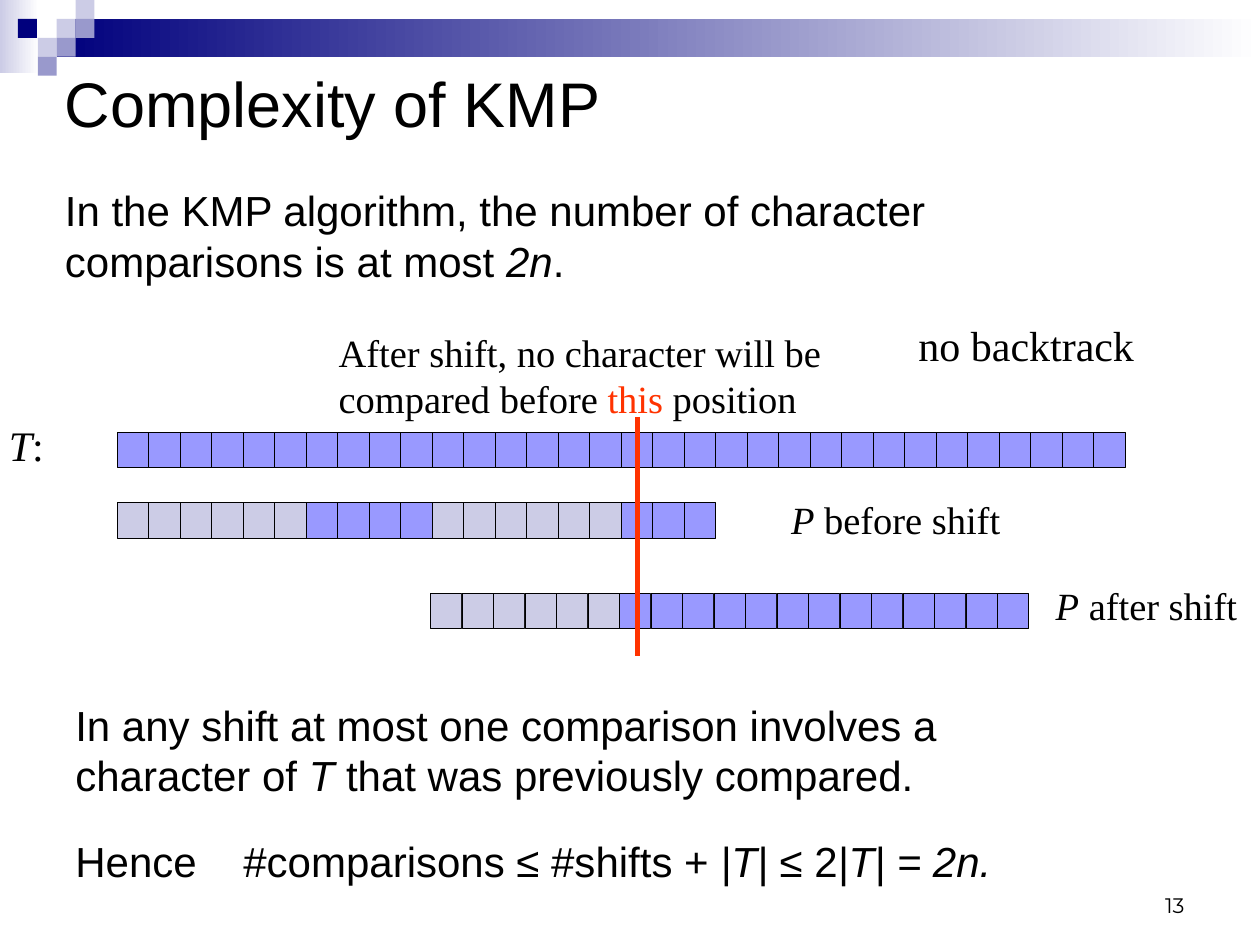
from dataclasses import dataclass
from lxml import etree
from pptx import Presentation
from pptx import util as u
from pptx.dml.color import RGBColor
from pptx.enum import shapes, text
from pptx.oxml import ns

HUES = {"ink": "000000", "white": "FFFFFF", "navy": "00007D", "slate": "9999CC",
        "pale": "CCCCE6", "blue": "9999FF", "red": "FF3300"}
SANS, SERIF = "Arial", "Times New Roman"
STEP, TALL, TILE = 18, 20.16, 10.8


@dataclass
class Box:
    x: float
    y: float
    w: float
    h: float


@dataclass
class Note:
    box: Box
    runs: list[tuple[str, str]]
    size: float
    font: str
    anchor: text.MSO_ANCHOR = text.MSO_ANCHOR.TOP
    align: text.PP_ALIGN = text.PP_ALIGN.LEFT
    tab: float = 0


@dataclass
class Strip:
    x: float
    y: float
    spans: list[tuple[str, int]]


def tint(name: str) -> RGBColor:
    """Return the named colour."""
    return RGBColor.from_string(HUES[name])


def draw_rect(slide, box: Box, hues: list[str], edge: bool = False) -> None:
    """Draw a rectangle, with a left-to-right gradient when given two colours."""
    rect = slide.shapes.add_shape(shapes.MSO_SHAPE.RECTANGLE, u.Pt(box.x), u.Pt(box.y),
                                  u.Pt(box.w), u.Pt(box.h))
    rect.shadow.inherit = False
    if len(hues) == 2:
        rect.fill.gradient()
        rect.fill.gradient_angle = 0
        for stop, hue in zip(rect.fill.gradient_stops, hues):
            stop.color.rgb = tint(hue)
    else:
        rect.fill.solid()
        rect.fill.fore_color.rgb = tint(hues[0])
    if edge:
        rect.line.color.rgb = tint("ink")
        rect.line.width = u.Pt(0.5)
    else:
        rect.line.fill.background()


def draw_strip(slide, strip: Strip) -> None:
    """Draw a row of touching cells, one span of colour after another."""
    cells = [hue for hue, count in strip.spans for _ in range(count)]
    for i, hue in enumerate(cells):
        draw_rect(slide, Box(strip.x + i * STEP, strip.y, STEP, TALL), [hue], True)


def draw_note(slide, note: Note) -> None:
    """Draw one paragraph whose runs are plain, italic or red."""
    box = note.box
    frame = slide.shapes.add_textbox(u.Pt(box.x), u.Pt(box.y), u.Pt(box.w),
                                     u.Pt(box.h)).text_frame
    frame.word_wrap = True
    frame.vertical_anchor = note.anchor
    para = frame.paragraphs[0]
    para.alignment = note.align
    if note.tab:
        tabs = etree.SubElement(para._p.get_or_add_pPr(), ns.qn("a:tabLst"))
        etree.SubElement(tabs, ns.qn("a:tab"), pos=str(u.Pt(note.tab)), algn="l")
    for words, style in note.runs:
        run = para.add_run()
        run.text = words
        run.font.name = note.font
        run.font.size = u.Pt(note.size)
        run.font.italic = style == "italic"
        run.font.color.rgb = tint("red" if style == "red" else "ink")


def draw_mark(slide, x: float, top: float, end: float) -> None:
    """Draw the red vertical line at the shift position."""
    mark = slide.shapes.add_connector(shapes.MSO_CONNECTOR.STRAIGHT, u.Pt(x), u.Pt(top),
                                      u.Pt(x), u.Pt(end))
    mark.line.color.rgb = tint("red")
    mark.line.width = u.Pt(2.5)
    etree.SubElement(mark._element.spPr, ns.qn("a:effectLst"))


BANDS = [(Box(0, 0, 22.3, 41.8), ["pale", "white"]),
         (Box(32.4, 10.8, 687.6, 21.6), ["navy", "white"])]
TILES = [(3, 1, "pale"), (4, 0, "pale"), (4, 1, "slate"), (2, 2, "pale"),
         (0.95, 1, "navy"), (3, 2, "slate"), (2, 3, "slate")]
STRIPS = [Strip(67, 287.3, [("pale", 6), ("blue", 4), ("pale", 6), ("blue", 3)]),
          Strip(67, 247, [("blue", 32)]),
          Strip(246, 339.1, [("pale", 6), ("blue", 13)])]
NOTES = [
    Note(Box(30, 30.2, 480, 56.2), [("Complexity of KMP", "")], 36, SANS,
         text.MSO_ANCHOR.MIDDLE),
    Note(Box(30, 102.2, 636, 64.8),
         [("In the KMP algorithm, the number of character comparisons is at most ", ""),
          ("2n", "italic"), (".", "")], 24, SANS),
    Note(Box(36, 473.8, 549.4, 36),
         [("Hence\t#comparisons ≤ #shifts + ", ""), ("|T| ", "italic"), ("≤ 2", ""),
          ("|T| = 2n.", "italic")], 24, SANS, tab=96),
    Note(Box(445, 280, 148.3, 33.8), [("P", "italic"), (" before shift", "")], 22, SERIF),
    Note(Box(596.2, 329, 161.3, 33.8), [("P", "italic"), (" after shift", "")], 22, SERIF),
    Note(Box(-2, 236.2, 37.4, 36), [("T", "italic"), (":", "")], 24, SERIF),
    Note(Box(36, 396, 612, 64.8),
         [("In any shift at most one comparison involves a character of ", ""),
          ("T ", "italic"), ("that was previously compared.", "")], 24, SANS),
    Note(Box(517.7, 179.3, 137.5, 36), [("no backtrack", "")], 24, SERIF),
    Note(Box(186.5, 184.3, 295.2, 33.8), [("After shift, no character will be", "")],
         22, SERIF),
    Note(Box(186.5, 211, 275.8, 33.8),
         [("compared before ", ""), ("this", "red"), (" position", "")], 22, SERIF),
    Note(Box(516.2, 491.8, 167.8, 36), [("13", "")], 12, "Montserrat",
         text.MSO_ANCHOR.BOTTOM, text.PP_ALIGN.RIGHT),
]


def main() -> None:
    """Build the slide and save it."""
    deck = Presentation()
    deck.slide_width, deck.slide_height = u.Pt(720), u.Pt(540)
    slide = deck.slides.add_slide(deck.slide_layouts[6])
    for box, hues in BANDS:
        draw_rect(slide, box, hues)
    for col, row, hue in TILES:
        draw_rect(slide, Box(col * TILE, row * TILE, TILE, TILE), [hue])
    for strip in STRIPS:
        draw_strip(slide, strip)
    draw_mark(slide, 364.3, 238.3, 375.1)
    for note in NOTES:
        draw_note(slide, note)
    deck.save("out.pptx")


if __name__ == "__main__":
    main()
